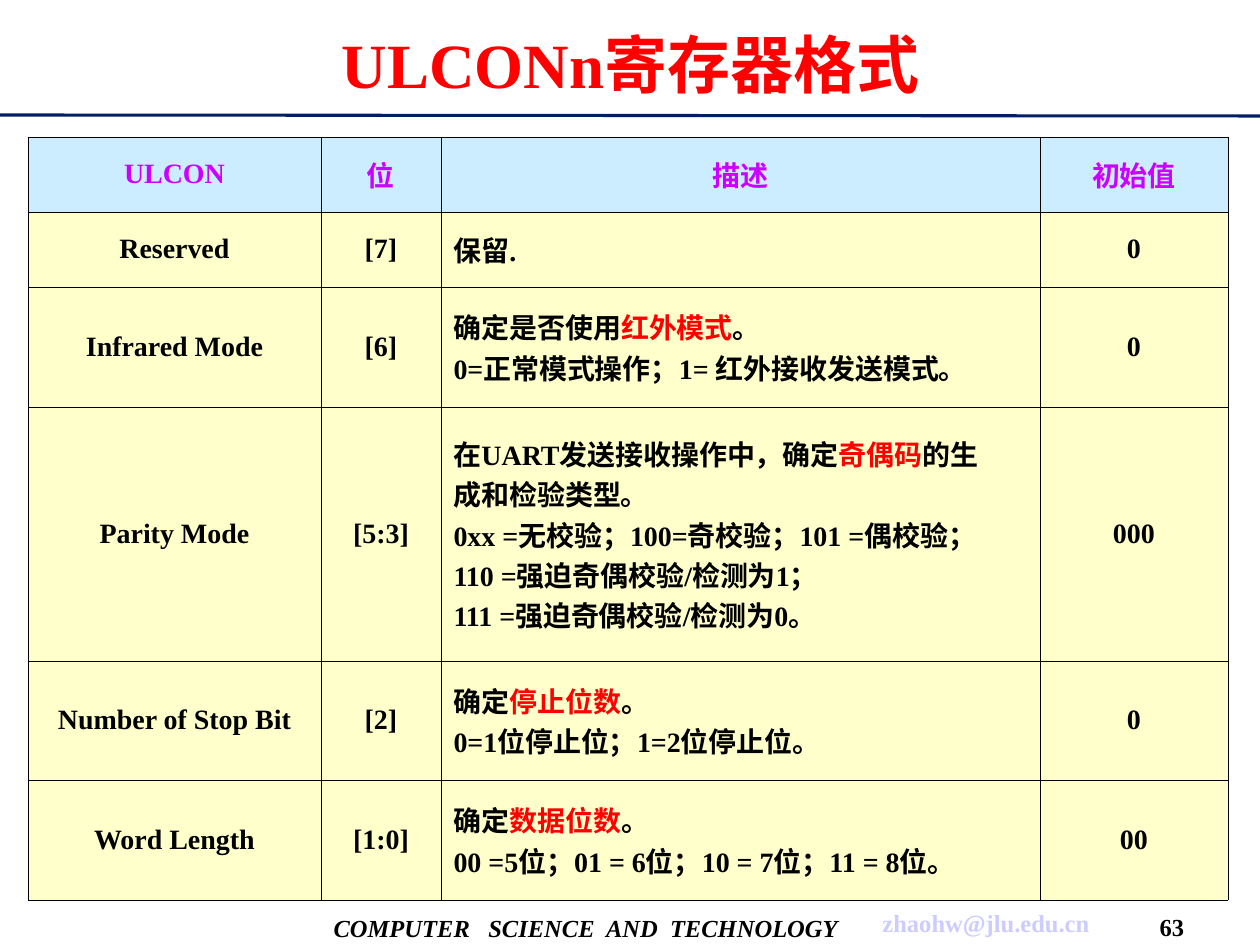
from lxml.etree import SubElement
from pptx import Presentation
from pptx.dml.color import RGBColor
from pptx.enum.shapes import MSO_CONNECTOR
from pptx.enum.text import MSO_ANCHOR, PP_ALIGN
from pptx.oxml.ns import qn
from pptx.util import Emu, Pt

FONT = "Times New Roman"
BLACK, RED, NAVY = "000000", "FF0000", "001E64"
PURPLE, LILAC = "CC00FF", "CCCCFF"
SKY, CREAM = "CCECFF", "FFFFCC"

COLS = [293, 120, 599, 188]
HEIGHTS = [75, 75, 120, 254, 119, 120]
# Words between asterisks are red
ROWS = [
    ["ULCON", "位", "描述", "初始值"],
    ["Reserved", "[7]", "保留.", "0"],
    ["Infrared Mode", "[6]",
     "确定是否使用*红外模式*。\n0=正常模式操作；1= 红外接收发送模式。", "0"],
    ["Parity Mode", "[5:3]",
     "在UART发送接收操作中，确定*奇偶码*的生\n成和检验类型。\n"
     "0xx =无校验；100=奇校验；101 =偶校验；\n"
     "110 =强迫奇偶校验/检测为1；\n111 =强迫奇偶校验/检测为0。", "000"],
    ["Number of Stop Bit", "[2]",
     "确定*停止位数*。\n0=1位停止位；1=2位停止位。", "0"],
    ["Word Length", "[1:0]",
     "确定*数据位数*。\n00 =5位；01 = 6位；10 = 7位；11 = 8位。", "00"],
]


def px(n):
    return Emu(round(n * 914400 / 126))


def rgb(code):
    return RGBColor.from_string(code)


def write(frame, text, size=16, color=BLACK, italic=False,
          align=PP_ALIGN.CENTER):
    for i, line in enumerate(text.split("\n")):
        para = frame.paragraphs[0] if i == 0 else frame.add_paragraph()
        para.alignment = align
        for j, part in enumerate(line.split("*")):
            run = para.add_run()
            run.text = part
            font = run.font
            font.name, font.size = FONT, Pt(size)
            font.bold, font.italic = True, italic
            font.color.rgb = rgb(RED if j % 2 else color)


def label(slide, box, text, **style):
    frame = slide.shapes.add_textbox(*map(px, box)).text_frame
    frame.word_wrap = True
    frame.vertical_anchor = MSO_ANCHOR.MIDDLE
    write(frame, text, **style)


def rule(slide, start, end, color, width):
    line = slide.shapes.add_connector(
        MSO_CONNECTOR.STRAIGHT, *map(px, start + end))
    line.line.color.rgb = rgb(color)
    line.line.width = Pt(width)
    SubElement(line._element.spPr, qn("a:effectLst"))


def border(cell, width=0.45):
    props = cell._tc.get_or_add_tcPr()
    for i, side in enumerate(("a:lnL", "a:lnR", "a:lnT", "a:lnB")):
        edge = props.makeelement(qn(side), {"w": str(Pt(width))})
        fill = SubElement(edge, qn("a:solidFill"))
        SubElement(fill, qn("a:srgbClr"), val=BLACK)
        props.insert(i, edge)


def grid(slide, left, top):
    table = slide.shapes.add_table(
        len(ROWS), len(COLS), px(left), px(top),
        px(sum(COLS)), px(sum(HEIGHTS))).table
    for col, width in zip(table.columns, COLS):
        col.width = px(width)
    for row, height in zip(table.rows, HEIGHTS):
        row.height = px(height)
    for r, texts in enumerate(ROWS):
        for c, text in enumerate(texts):
            cell = table.cell(r, c)
            cell.vertical_anchor = MSO_ANCHOR.MIDDLE
            cell.fill.solid()
            cell.fill.fore_color.rgb = rgb(CREAM if r else SKY)
            border(cell)
            left_side = r > 0 and c == 2
            write(cell.text_frame, text, color=BLACK if r else PURPLE,
                  align=PP_ALIGN.LEFT if left_side else PP_ALIGN.CENTER)


def main():
    deck = Presentation()
    deck.slide_width, deck.slide_height = px(1260), px(945)
    slide = deck.slides.add_slide(deck.slide_layouts[6])

    # Title and rule
    rule(slide, (0, 115), (1260, 116), NAVY, 1.75)
    label(slide, (40, 11, 1181, 105), "ULCONn寄存器格式",
          size=36, color=RED)

    # Register table
    grid(slide, 28, 137)

    # Footer
    label(slide, (306, 901, 560, 53), "COMPUTER   SCIENCE  AND  TECHNOLOGY",
          size=14, italic=True)
    label(slide, (856, 900, 260, 45), "zhaohw@jlu.edu.cn",
          size=14, color=LILAC)
    label(slide, (1142, 907, 60, 39), "63", size=14)

    deck.save("out.pptx")


if __name__ == "__main__":
    main()
